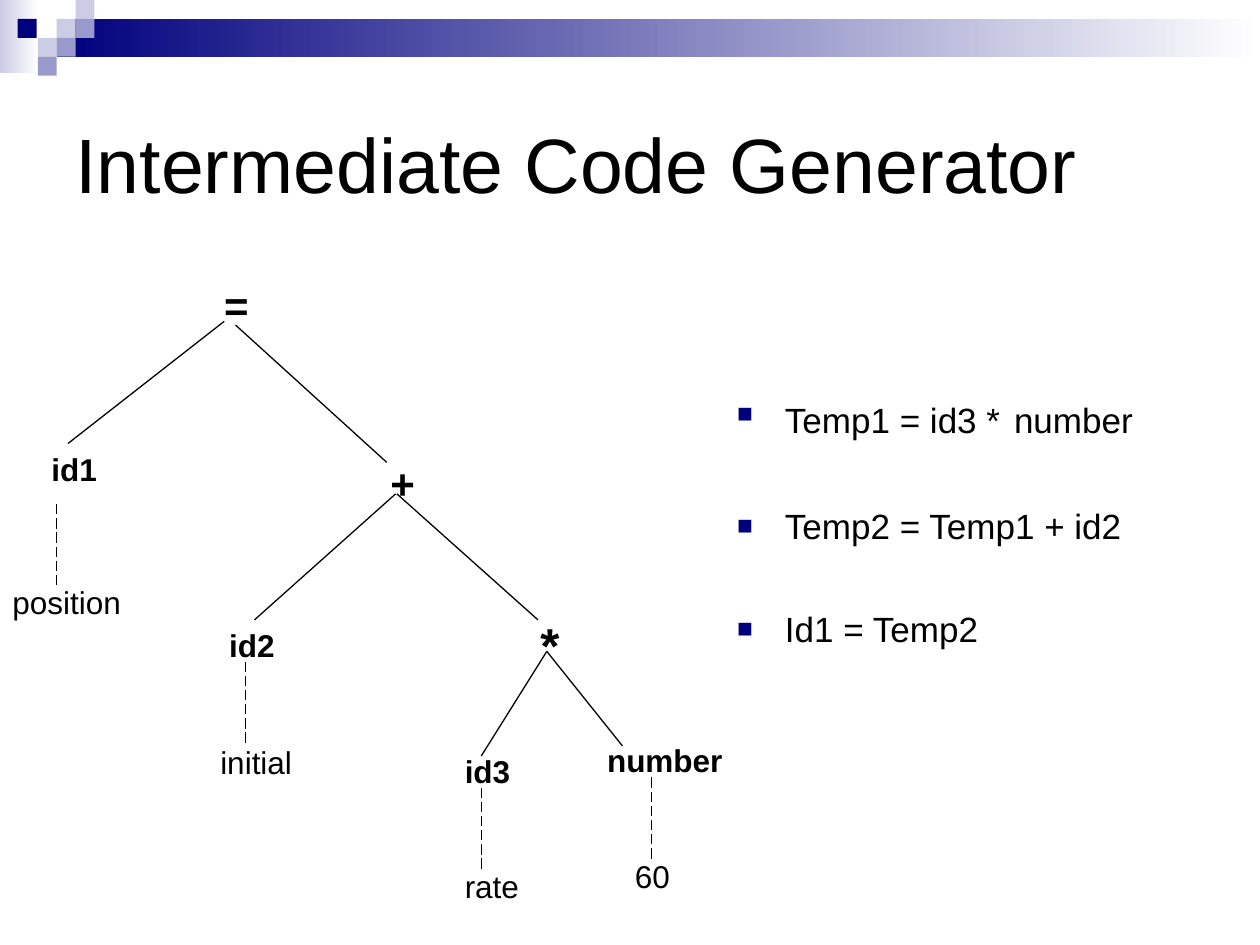
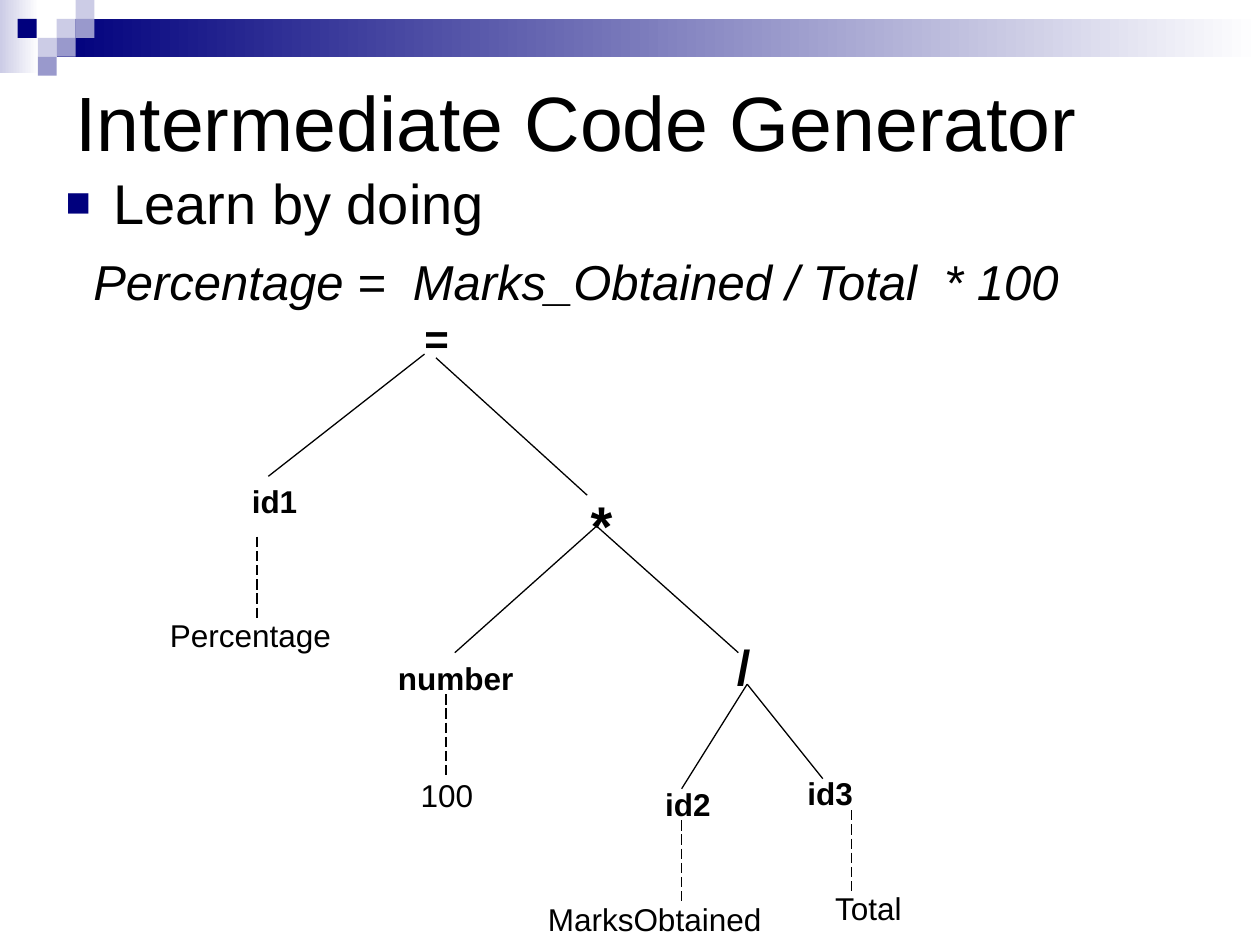
from dataclasses import dataclass

from lxml.etree import SubElement
from pptx import Presentation
from pptx.dml.color import RGBColor
from pptx.enum.dml import MSO_LINE
from pptx.enum.shapes import MSO_CONNECTOR, MSO_SHAPE
from pptx.enum.text import MSO_ANCHOR, MSO_AUTO_SIZE, PP_ALIGN
from pptx.oxml.ns import qn
from pptx.util import Inches, Pt

COLS, ROWS = 100, 75


@dataclass(frozen=True)
class Theme:
    font: str = "Arial"
    ink: str = "000000"
    navy: str = "00007D"
    mid: str = "9999CC"
    pale: str = "CCCCE6"
    white: str = "FFFFFF"
    title: int = 44
    heading: int = 32
    formula: int = 28
    code: int = 20
    operator: int = 24
    label: int = 18
    line: float = 0.75
    bullet_share: int = 75


THEME = Theme()

SQUARES = [
    (4.5, 1.5, THEME.pale), (6, 0, THEME.pale), (6, 1.5, THEME.mid),
    (3, 3, THEME.pale), (1.4, 1.5, THEME.navy), (4.5, 3, THEME.mid),
    (3, 4.5, THEME.mid),
]

BRANCHES = [
    (17.8, 25.5, 5.4, 35.2), (18.7, 25.8, 30.7, 36.7),
    (31.4, 39.2, 20.2, 49.2), (31.5, 39.2, 42.7, 49.2),
    (43.4, 51.7, 38.2, 60), (43.4, 51.7, 49.4, 59.2),
]
STEMS = [(4.5, 40), (19.5, 52.5), (38.2, 62.5), (51.7, 61.7)]
STEM_LENGTH = 6.7

NODE_SPOTS = {
    "root": (16.8, 21.7, 8.6), "left": (3.1, 35.2, 14.8),
    "inner": (30, 35.8, 6.7), "middle": (17.2, 49.2, 12.8),
    "lowest": (41.9, 48.3, 8.2), "low_left": (35.9, 59.2, 7.5),
    "low_right": (47.2, 58.3, 12),
}
LEAF_SPOTS = {
    "left": (0, 45.8, 15.3), "middle": (16.5, 58.5, 12),
    "low_left": (35.9, 68.3, 19.8), "low_right": (49.4, 67.5, 8.9),
}


def write(p, text, size, bold=False, italic=False, color=THEME.ink):
    r = p.add_run()
    r.text = text
    r.font.name = THEME.font
    r.font.size = Pt(size)
    r.font.bold = bold
    r.font.italic = italic
    r.font.color.rgb = RGBColor.from_string(color)
    return r


def set_indent(p, margin, hanging=0, bullet=None):
    pPr = p._p.get_or_add_pPr()
    pPr.set("marL", str(Inches(margin)))
    pPr.set("indent", str(-Inches(hanging)))
    if bullet is None:
        SubElement(pPr, qn("a:buNone"))
        return
    color = SubElement(pPr, qn("a:buClr"))
    SubElement(color, qn("a:srgbClr"), val=THEME.navy)
    SubElement(pPr, qn("a:buSzPct"), val=str(THEME.bullet_share * 1000))
    SubElement(pPr, qn("a:buFont"), typeface=THEME.font)
    SubElement(pPr, qn("a:buChar"), char=bullet)


class Deck:
    def __init__(self):
        self.prs = Presentation()
        self.prs.slide_width = Inches(10)
        self.prs.slide_height = Inches(7.5)
        self.s = None

    def x(self, cols):
        return round(self.prs.slide_width * cols / COLS)

    def y(self, rows):
        return round(self.prs.slide_height * rows / ROWS)

    def box(self, left, top, width, height):
        return self.x(left), self.y(top), self.x(width), self.y(height)

    def place(self, sp, *cells):
        sp.left, sp.top, sp.width, sp.height = self.box(*cells)

    def slide(self, title, top, height):
        first = self.s is None
        self.s = self.prs.slides.add_slide(self.prs.slide_layouts[1])
        if first:
            self.header()
        sp = self.s.shapes.title
        self.place(sp, 5, top, 90, height)
        tf = sp.text_frame
        tf.auto_size = MSO_AUTO_SIZE.NONE
        tf.vertical_anchor = MSO_ANCHOR.MIDDLE
        p = tf.paragraphs[0]
        p.alignment = PP_ALIGN.LEFT
        write(p, title, THEME.title)

    def rect(self, left, top, width, height, color, fade=False):
        cells = self.box(left, top, width, height)
        sp = self.s.shapes.add_shape(MSO_SHAPE.RECTANGLE, *cells)
        sp.shadow.inherit = False
        sp.line.fill.background()
        if fade:
            sp.fill.gradient()
            sp.fill.gradient_angle = 0
            for stop, tone in zip(sp.fill.gradient_stops, (color, THEME.white)):
                stop.color.rgb = RGBColor.from_string(tone)
        else:
            sp.fill.solid()
            sp.fill.fore_color.rgb = RGBColor.from_string(color)
        return sp

    def header(self):
        parts = [
            self.rect(0, 0, 3.1, 5.8, THEME.pale, fade=True),
            self.rect(4.5, 1.5, 95.5, 3, THEME.navy, fade=True),
        ]
        parts += [self.rect(x, y, 1.5, 1.5, color) for x, y, color in SQUARES]
        tree = self.prs.slide_master.element.cSld.spTree
        for i, sp in enumerate(parts):
            sp.element.nvSpPr.cNvPr.set("id", str(100 + i))
            tree.insert(2 + i, sp.element)

    def body(self, left, top, width, height):
        sp = self.s.placeholders[1]
        self.place(sp, left, top, width, height)
        tf = sp.text_frame
        tf.auto_size = MSO_AUTO_SIZE.NONE
        return tf

    def item(self, tf, runs, before=0, margin=0.38, bullet="■", italic=False):
        p = tf.paragraphs[0] if not tf.text else tf.add_paragraph()
        p.space_before = Pt(before)
        set_indent(p, margin, margin if bullet else 0, bullet)
        for text, size in runs:
            write(p, text, size, italic=italic)

    def label(self, text, left, top, width, size, bold=False):
        height = size / 6 + 1
        sp = self.s.shapes.add_textbox(*self.box(left, top, width, height))
        tf = sp.text_frame
        tf.word_wrap = True
        write(tf.paragraphs[0], text, size, bold=bold)

    def line(self, x1, y1, x2, y2, dashed=False):
        ends = self.x(x1), self.y(y1), self.x(x2), self.y(y2)
        cn = self.s.shapes.add_connector(MSO_CONNECTOR.STRAIGHT, *ends)
        SubElement(cn.element.spPr, qn("a:effectLst"))
        cn.line.color.rgb = RGBColor.from_string(THEME.ink)
        cn.line.width = Pt(THEME.line)
        if dashed:
            cn.line.dash_style = MSO_LINE.LONG_DASH

    def syntax_tree(self, nodes, leaves, dx=0, dy=0, sizes=None, nudges=None):
        sizes, nudges = sizes or {}, nudges or {}
        for x1, y1, x2, y2 in BRANCHES:
            self.line(x1 + dx, y1 + dy, x2 + dx, y2 + dy)
        for x, y in STEMS:
            self.line(x + dx, y + dy, x + dx, y + dy + STEM_LENGTH, dashed=True)
        groups = [("node", nodes, NODE_SPOTS), ("leaf", leaves, LEAF_SPOTS)]
        for kind, words, spots in groups:
            for spot, text in words.items():
                left, top, width = spots[spot]
                nx, ny = nudges.get((kind, spot), (0, 0))
                size = THEME.label
                if kind == "node":
                    size = sizes.get(spot, size)
                self.label(text, left + dx + nx, top + dy + ny, width, size,
                           bold=kind == "node")


def three_address_code(deck):
    deck.slide("Intermediate Code Generator", 5.4, 15)
    tf = deck.body(57.5, 30, 37.5, 45)
    deck.item(tf, [("Temp1 = id3 *", THEME.code), (" ", THEME.formula),
                   ("number", THEME.code)])
    for text in ("Temp2 = Temp1 + id2", "Id1 = Temp2"):
        deck.item(tf, [(text, THEME.code)], before=35)
    deck.syntax_tree(
        nodes={"root": "=", "left": "id1", "inner": "+", "middle": "id2",
               "lowest": "*", "low_left": "id3", "low_right": "number"},
        leaves={"left": "position", "middle": "initial",
                "low_left": "rate", "low_right": "60"},
        sizes={"root": THEME.operator, "inner": THEME.operator,
               "lowest": THEME.formula},
    )


def learn_by_doing(deck):
    deck.slide("Intermediate Code Generator", 5.4, 8.3)
    tf = deck.body(4.2, 12.9, 90, 12.5)
    deck.item(tf, [("Learn by doing", THEME.heading)])
    formula = "Percentage =  Marks_Obtained / Total  * 100"
    deck.item(tf, [(formula, THEME.formula)], before=9, margin=0.22,
              bullet=None, italic=True)
    deck.syntax_tree(
        nodes={"root": "=", "left": "id1", "inner": "*", "middle": "number",
               "lowest": "/", "low_left": "id2", "low_right": "id3"},
        leaves={"left": "Percentage", "middle": "100",
                "low_left": "MarksObtained", "low_right": "Total"},
        dx=15.9, dy=2.6,
        sizes={"root": THEME.operator, "inner": THEME.heading,
               "lowest": THEME.formula},
        nudges={("node", "middle"): (-2.5, 0), ("node", "lowest"): (-0.3, -0.9),
                ("leaf", "left"): (-3.4, 0), ("leaf", "low_left"): (-9.3, 0)},
    )


def main():
    deck = Deck()
    three_address_code(deck)
    learn_by_doing(deck)
    deck.prs.save("out.pptx")


if __name__ == "__main__":
    main()
